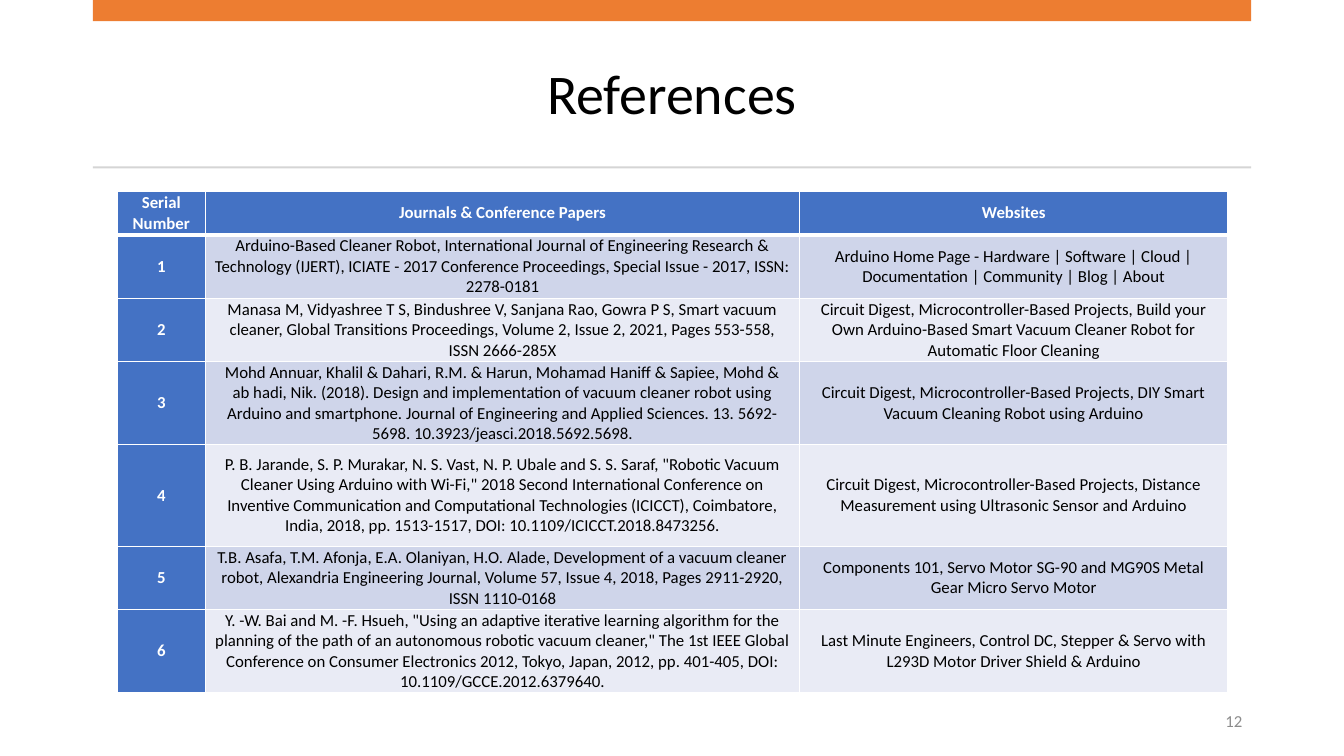
from lxml.etree import SubElement
from pptx import Presentation
from pptx.dml.color import RGBColor
from pptx.enum.shapes import MSO_SHAPE as SHAPE
from pptx.enum.text import MSO_ANCHOR as ANCHOR, PP_ALIGN as ALIGN
from pptx.oxml.ns import qn
from pptx.util import Inches, Pt

COLORS = {
    "orange": "ED7D31", "rule": "D5D5D5", "blue": "4472C4",
    "band_dark": "CFD5EA", "band_light": "E9EBF5",
    "white": "FFFFFF", "black": "000000", "gray": "8C8C8C",
}
LEFT, WIDTH = 0.92, 11.49
COL_WIDTHS = [0.88, 5.89, 4.25]
ROW_HEIGHTS = [0.43, 0.63, 0.63, 0.82, 1.01, 0.63, 0.82]
HEADER = ["Serial Number", "Journals & Conference Papers", "Websites"]
REFERENCES = [
    ("Arduino-Based Cleaner Robot, International Journal of Engineering Research & "
     "Technology (IJERT), ICIATE - 2017 Conference Proceedings, Special Issue - 2017, "
     "ISSN: 2278-0181",
     "Arduino Home Page - Hardware | Software | Cloud | Documentation | Community | "
     "Blog | About"),
    ("Manasa M, Vidyashree T S, Bindushree V, Sanjana Rao, Gowra P S, Smart vacuum "
     "cleaner, Global Transitions Proceedings, Volume 2, Issue 2, 2021, Pages 553-558, "
     "ISSN 2666-285X",
     "Circuit Digest, Microcontroller-Based Projects, Build your Own Arduino-Based "
     "Smart Vacuum Cleaner Robot for Automatic Floor Cleaning"),
    ("Mohd Annuar, Khalil & Dahari, R.M. & Harun, Mohamad Haniff & Sapiee, Mohd & ab "
     "hadi, Nik. (2018). Design and implementation of vacuum cleaner robot using "
     "Arduino and smartphone. Journal of Engineering and Applied Sciences. 13. "
     "5692-5698. 10.3923/jeasci.2018.5692.5698.",
     "Circuit Digest, Microcontroller-Based Projects, DIY Smart Vacuum Cleaning Robot "
     "using Arduino"),
    ('P. B. Jarande, S. P. Murakar, N. S. Vast, N. P. Ubale and S. S. Saraf, "Robotic '
     'Vacuum Cleaner Using Arduino with Wi-Fi," 2018 Second International Conference on '
     "Inventive Communication and Computational Technologies (ICICCT), Coimbatore, "
     "India, 2018, pp. 1513-1517, DOI: 10.1109/ICICCT.2018.8473256.",
     "Circuit Digest, Microcontroller-Based Projects, Distance Measurement using "
     "Ultrasonic Sensor and Arduino"),
    ("T.B. Asafa, T.M. Afonja, E.A. Olaniyan, H.O. Alade, Development of a vacuum "
     "cleaner robot, Alexandria Engineering Journal, Volume 57, Issue 4, 2018, Pages "
     "2911-2920, ISSN 1110-0168",
     "Components 101, Servo Motor SG-90 and MG90S Metal Gear Micro Servo Motor"),
    ('Y. -W. Bai and M. -F. Hsueh, "Using an adaptive iterative learning algorithm for '
     'the planning of the path of an autonomous robotic vacuum cleaner," The 1st IEEE '
     "Global Conference on Consumer Electronics 2012, Tokyo, Japan, 2012, pp. 401-405, "
     "DOI: 10.1109/GCCE.2012.6379640.",
     "Last Minute Engineers, Control DC, Stepper & Servo with L293D Motor Driver Shield "
     "& Arduino"),
]


def rgb(name):
    return RGBColor.from_string(COLORS[name])


def write(tf, text, size=12, color="black", bold=False, align=ALIGN.CENTER, spacing=None):
    tf.word_wrap = True
    p = tf.paragraphs[0]
    p.alignment = align
    p.line_spacing = spacing
    r = p.add_run()
    r.text = text
    r.font.name = "Calibri"
    r.font.size = Pt(size)
    r.font.bold = bold
    r.font.color.rgb = rgb(color)


def add_title(s, text):
    sp = s.shapes.title
    sp.left, sp.top = Inches(LEFT), Inches(0.37)
    sp.width, sp.height = Inches(WIDTH), Inches(1.18)
    sp.text_frame.vertical_anchor = ANCHOR.MIDDLE
    write(sp.text_frame, text, size=40, spacing=0.9)


def add_bar(s, top, height, color):
    sp = s.shapes.add_shape(SHAPE.RECTANGLE, Inches(LEFT), Inches(top),
                            Inches(WIDTH), Inches(height))
    sp.shadow.inherit = False
    sp.fill.solid()
    sp.fill.fore_color.rgb = rgb(color)
    sp.line.fill.background()


def set_borders(cell, **widths):
    """Draw white borders; 1 pt unless a side is given its own width."""
    tc_pr = cell._tc.get_or_add_tcPr()
    for side in ("lnL", "lnR", "lnT", "lnB"):
        ln = SubElement(tc_pr, qn("a:" + side), w=str(Pt(widths.get(side, 1))))
        fill = SubElement(ln, qn("a:solidFill"))
        SubElement(fill, qn("a:srgbClr"), val=COLORS["white"])


def format_cell(cell, text, row, col):
    heading = row == 0 or col == 0
    band = "band_dark" if row % 2 else "band_light"
    cell.margin_left = cell.margin_right = Inches(0.09)
    cell.margin_top = cell.margin_bottom = 0
    cell.vertical_anchor = ANCHOR.MIDDLE
    # The line under the header row is thicker
    set_borders(cell, lnT=3 if row == 1 else 1, lnB=3 if row == 0 else 1)
    cell.fill.solid()
    cell.fill.fore_color.rgb = rgb("blue" if heading else band)
    write(cell.text_frame, text, color="white" if heading else "black", bold=heading)


def add_reference_table(s):
    rows = [HEADER] + [(str(n), *ref) for n, ref in enumerate(REFERENCES, 1)]
    frame = s.shapes.add_table(len(rows), len(HEADER), Inches(1.16), Inches(1.9),
                               Inches(sum(COL_WIDTHS)), Inches(sum(ROW_HEIGHTS)))
    table = frame.table
    table.first_col = True
    for column, width in zip(table.columns, COL_WIDTHS):
        column.width = Inches(width)
    for row, height in zip(table.rows, ROW_HEIGHTS):
        row.height = Inches(height)
    for i, texts in enumerate(rows):
        for j, text in enumerate(texts):
            format_cell(table.cell(i, j), text, i, j)


def add_page_number(s, number):
    sp = s.shapes.add_textbox(Inches(9.42), Inches(6.95), Inches(3), Inches(0.4))
    sp.text_frame.vertical_anchor = ANCHOR.MIDDLE
    write(sp.text_frame, number, color="gray", align=ALIGN.RIGHT)


def main():
    prs = Presentation()
    prs.slide_width, prs.slide_height = Inches(13.33), Inches(7.5)
    s = prs.slides.add_slide(prs.slide_layouts[5])

    # Heading with its accent bar and rule
    add_title(s, "References")
    add_bar(s, 0, 0.21, "orange")
    add_bar(s, 1.65, 0.02, "rule")

    # Sources and page number
    add_reference_table(s)
    add_page_number(s, "12")
    prs.save("out.pptx")


if __name__ == "__main__":
    main()
